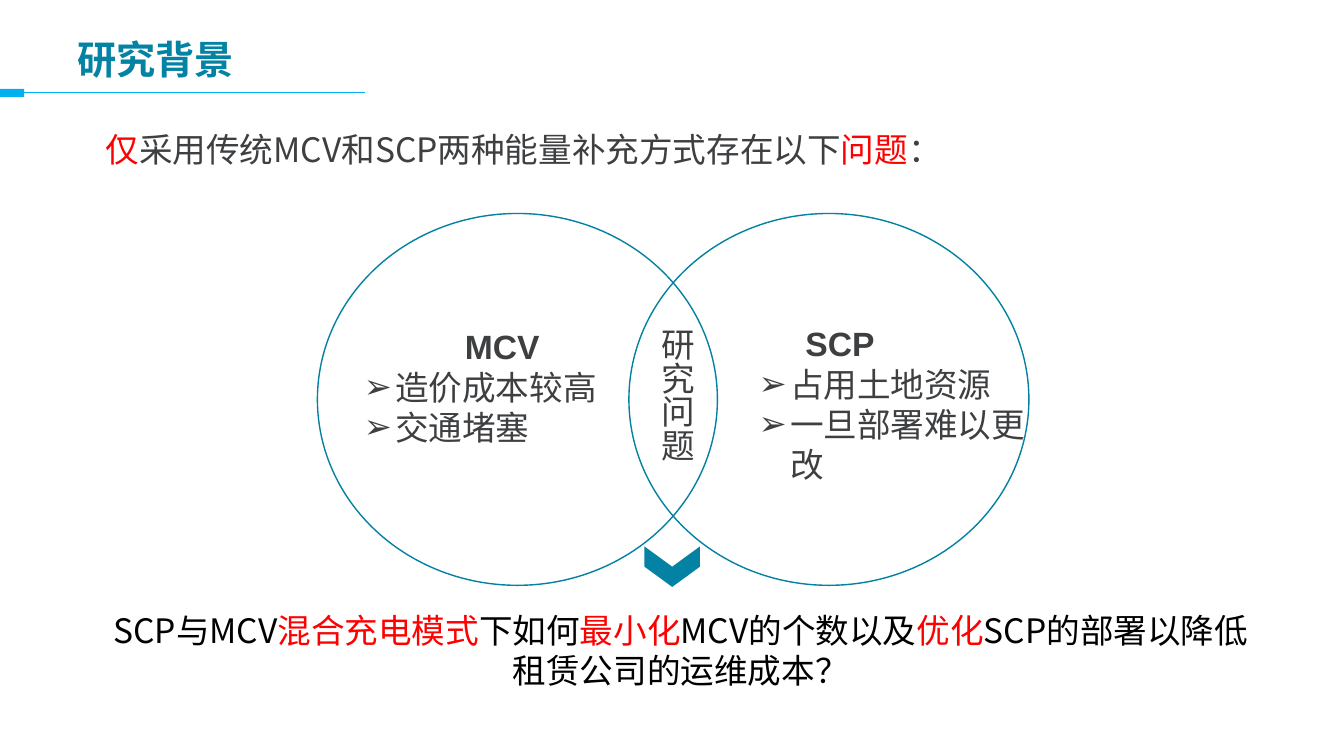
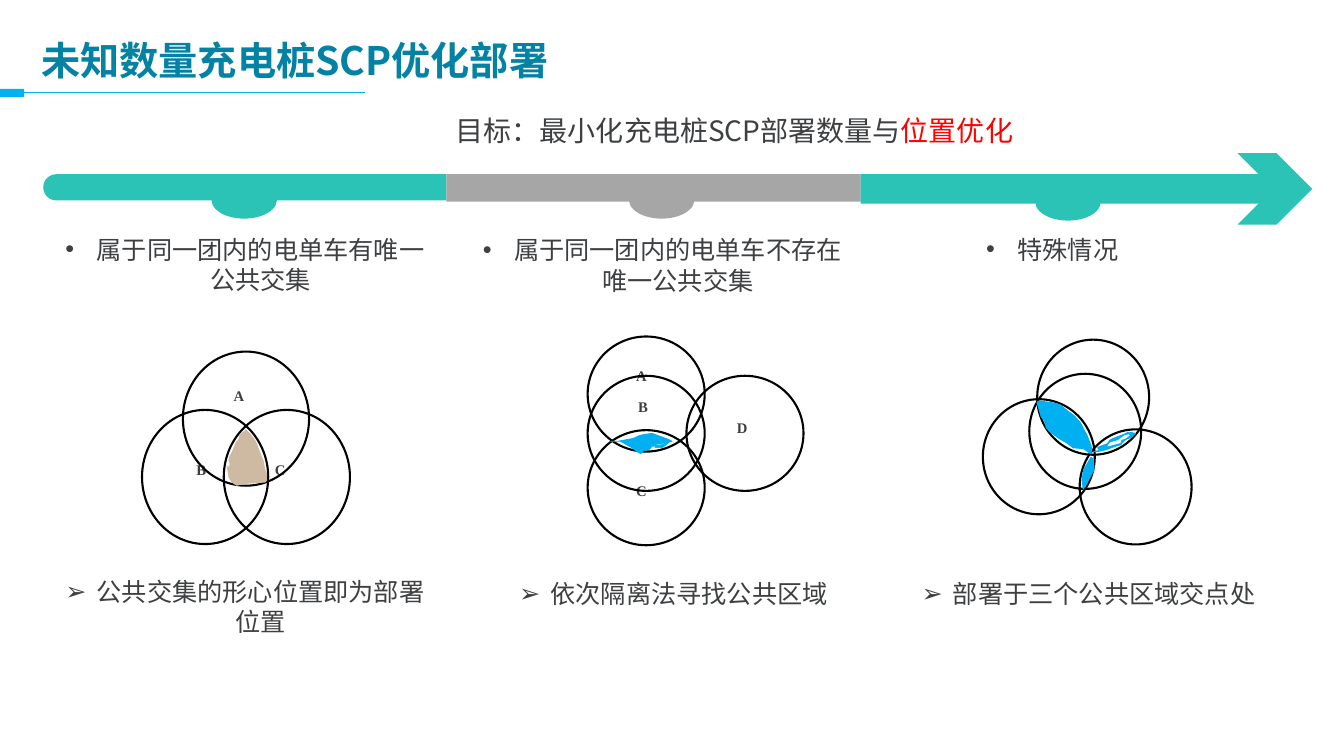
from dataclasses import dataclass

from lxml.etree import SubElement
from pptx import Presentation
from pptx.dml.color import RGBColor
from pptx.enum.shapes import MSO_CONNECTOR, MSO_SHAPE
from pptx.enum.text import MSO_ANCHOR, MSO_AUTO_SIZE, PP_ALIGN
from pptx.oxml.ns import qn
from pptx.util import Cm, Pt


@dataclass(frozen=True)
class Theme:
    """Colours, fonts and type sizes of the deck."""

    teal: str = "0382A3"
    ring: str = "0381A1"
    sky: str = "00B0F0"
    mint: str = "2BC3B5"
    gray: str = "A6A6A6"
    sand: str = "CEB9A3"
    ink: str = "3D3F41"
    red: str = "FF0000"
    black: str = "000000"
    white: str = "FFFFFF"
    sans: str = "Noto Sans CJK SC"
    latin: str = "Arial"
    serif: str = "Times New Roman"
    head: float = 28
    body: float = 24
    goal: float = 20
    note: float = 18
    tag: float = 10.5


T = Theme()


@dataclass(frozen=True)
class Para:
    """A paragraph: (text, colour) runs and their format."""

    runs: tuple
    size: float = T.body
    align: PP_ALIGN = PP_ALIGN.LEFT
    mark: str = ""
    left: float = 0
    bold: bool = False
    face: str = T.sans


LENS = (
    (48, 5), (33, 15), (30, 28), (23, 36), (13, 61), (8, 69), (5, 81), (8, 91),
    (5, 99), (0, 94), (5, 124), (13, 137), (25, 145), (41, 142), (53, 140),
    (97, 137), (102, 132), (102, 114), (97, 102), (94, 84), (86, 64), (74, 33),
    (61, 15), (46, 0))
FISH = (
    (18, 20), (56, 13), (74, 5), (84, 3), (104, 0), (145, 15), (155, 20),
    (142, 23), (114, 28), (112, 36), (130, 36), (147, 23), (132, 28), (122, 30),
    (104, 33), (97, 41), (84, 43), (76, 51), (69, 48), (53, 36), (25, 20), (0, 20))
SLIP = (
    (23, 0), (8, 25), (3, 36), (0, 60), (3, 84), (10, 76), (23, 51), (28, 41),
    (33, 33), (30, 5))
LEAF = (
    (5, 0), (41, 5), (58, 10), (76, 25), (94, 38), (109, 56), (119, 76),
    (124, 84), (135, 112), (137, 122), (135, 132), (117, 119), (91, 117),
    (74, 104), (56, 94), (38, 81), (30, 74), (23, 66), (18, 48), (10, 38),
    (5, 20), (0, 3))
REED = (
    (8, 38), (20, 33), (30, 30), (38, 23), (56, 18), (74, 5), (84, 0), (94, 10),
    (76, 18), (69, 20), (66, 30), (46, 36), (28, 43), (0, 48), (15, 46),
    (25, 43), (38, 20), (48, 15), (66, 8), (74, 5), (84, 3), (91, 0), (102, 3),
    (91, 8), (74, 20), (66, 28), (48, 33), (30, 38), (20, 43), (13, 46))


def apply(item, vals):
    """Set each attribute named in vals."""
    for key, val in vals.items():
        setattr(item, key, val)


def hue(code):
    """Turn a hex code into a colour."""
    return RGBColor.from_string(code)


def paint(shape, fill=None, line=None, width=1.0):
    """Give a shape its fill and line, without shadow."""
    shape.shadow.inherit = False
    if fill:
        shape.fill.solid()
        shape.fill.fore_color.rgb = hue(fill)
    else:
        shape.fill.background()
    if line:
        shape.line.color.rgb = hue(line)
        shape.line.width = Pt(width)
    else:
        shape.line.fill.background()
    return shape


def draw(slide, kind, box, **look):
    """Add a painted preset shape in a box given in cm."""
    return paint(slide.shapes.add_shape(kind, *map(Cm, box)), **look)


def write(shape, paras, anchor=MSO_ANCHOR.TOP):
    """Write paragraphs into a shape."""
    frame = shape.text_frame
    apply(frame, {"word_wrap": True, "auto_size": MSO_AUTO_SIZE.NONE,
                  "vertical_anchor": anchor})
    for num, para in enumerate(paras):
        line = frame.add_paragraph() if num else frame.paragraphs[0]
        line.alignment = para.align
        props = line._p.get_or_add_pPr()
        if para.left:
            props.set("marL", str(Cm(para.left)))
        if para.mark:
            props.set("indent", str(-Cm(para.left)))
            SubElement(props, qn("a:buFont"), typeface=T.latin)
            SubElement(props, qn("a:buChar"), char=para.mark)
        for text, code in para.runs:
            run = line.add_run()
            run.text = text
            apply(run.font, {"name": para.face, "size": Pt(para.size),
                             "bold": para.bold})
            run.font.color.rgb = hue(code)
            SubElement(run._r.get_or_add_rPr(), qn("a:ea"), typeface=T.sans)
    return shape


def prose(slide, box, *paras):
    """Add a text box."""
    return write(slide.shapes.add_textbox(*map(Cm, box)), paras)


def point(text, mark, size=T.note, align=PP_ALIGN.CENTER):
    """Make a paragraph with a bullet."""
    return Para(((text, T.ink),), size, align, mark, 0.79)


def start(deck, text, box):
    """Add a slide with its title, band and rule."""
    slide = deck.slides.add_slide(deck.slide_layouts[5])
    band = draw(slide, MSO_SHAPE.RECTANGLE, (0, 2.24, 0.61, 0.2), fill=T.sky)
    rule = slide.shapes.add_connector(
        MSO_CONNECTOR.STRAIGHT, Cm(9.19), Cm(2.34), Cm(0.61), Cm(2.34))
    rule.end_connect(band, 3)
    rule.line.color.rgb = hue(T.sky)
    rule.line.width = Pt(0.75)
    SubElement(rule._element.spPr, qn("a:effectLst"))
    title = slide.shapes.title
    apply(title, dict(zip(("left", "top", "width", "height"), map(Cm, box))))
    write(title, [Para(((text, T.teal),), T.head, bold=True)], MSO_ANCHOR.MIDDLE)
    return slide


def duel(slide, x, y):
    """Draw the two crossing rings with their lists."""
    for left in (0, 7.85):
        draw(slide, MSO_SHAPE.OVAL, (x + left, y, 10.08, 9.37), line=T.ring)
    sides = (
        ((0.92, 2.72, 7.47, 3.33), "MCV", PP_ALIGN.CENTER, 0,
         ("造价成本较高", "交通堵塞")),
        ((10.87, 2.64, 7.47, 4.37), "SCP", PP_ALIGN.LEFT, 1.18,
         ("占用土地资源", "一旦部署难以更改")))
    for (left, top, wide, high), name, align, pad, items in sides:
        prose(slide, (x + left, y + top, wide, high),
              Para(((name, T.ink),), align=align, left=pad, bold=True, face=T.latin),
              *(point(item, "➢", T.body, PP_ALIGN.LEFT) for item in items))
    core = prose(slide, (x + 8.15, y + 2.64, 1.55, 4.7),
                 Para((("研究问题", T.ink),), face=T.latin))
    core.text_frame._txBody.bodyPr.set("vert", "eaVert")
    arrow = draw(slide, MSO_SHAPE.CHEVRON, (x + 8.43, y + 8.2, 1.02, 1.4), fill=T.teal)
    arrow.rotation = 90


def track(slide, x, y):
    """Draw the three-part arrow with its knobs."""
    draw(slide, MSO_SHAPE.CHEVRON, (x + 30.1, y - 0.53, 1.88, 1.8), fill=T.mint)
    wide, high = 10.16, 0.66
    cap = draw(slide, MSO_SHAPE.ROUND_2_SAME_RECTANGLE,
               (x + (wide - high) / 2, y - (wide - high) / 2, high, wide), fill=T.mint)
    cap.adjustments[0] = 0.5
    cap.rotation = 270
    for left, high, code in ((10.16, 0.69, T.gray), (20.6, 0.74, T.mint)):
        draw(slide, MSO_SHAPE.RECTANGLE, (x + left, y, 10.44, high), fill=code)
    for left, top, code in ((4.24, 0.18, T.mint), (14.76, 0.18, T.gray),
                            (25, 0.23, T.mint)):
        draw(slide, MSO_SHAPE.OVAL, (x + left, y + top, 1.65, 0.94), fill=code)


def blob(slide, x, y, dots, **look):
    """Draw an outline from dots in hundredths of a cm."""
    pen = slide.shapes.build_freeform(*dots[0], scale=Cm(0.01))
    pen.add_line_segments(dots[1:])
    paint(pen.convert_to_shape(Cm(x), Cm(y)), **look)


def venn(slide, x, y, size, rings, tags, tile, blobs):
    """Draw rings, letters and shared areas from a corner."""
    for name, left, top in tags:
        card = draw(slide, MSO_SHAPE.RECTANGLE, (x + left, y + top, *tile), fill=T.white)
        write(card, [Para(((name, T.ink),), T.tag, bold=True, face=T.serif)])
    for left, top in rings:
        draw(slide, MSO_SHAPE.OVAL, (x + left, y + top, *size), line=T.black, width=1.5)
    for left, top, dots, look in blobs:
        blob(slide, x + left, y + top, dots, **look)


def issue(deck):
    """Build the background slide."""
    slide = start(deck, "研究背景", (1.7, 0.69, 30.48, 1.6))
    prose(slide, (2.41, 3.12, 25.65, 1.27), Para((
        ("仅", T.red), ("采用传统MCV和SCP两种能量补充方式存在以下", T.ink),
        ("问题", T.red), ("：", T.ink))))
    duel(slide, 8, 5.38)
    prose(slide, (2.41, 15.24, 29.49, 2.31), Para((
        ("SCP与MCV", T.black), ("混合充电模式", T.red), ("下如何", T.black),
        ("最小化", T.red), ("MCV的个数以及", T.black), ("优化", T.red),
        ("SCP的部署以降低租赁公司的运维成本？", T.black)), align=PP_ALIGN.CENTER))


def plan(deck):
    """Build the deployment slide."""
    slide = start(deck, "未知数量充电桩SCP优化部署", (0.79, 0.79, 30.48, 1.45))
    prose(slide, (10.46, 2.74, 16.1, 1.12), Para((
        ("目标：最小化充电桩SCP部署数量与", T.ink), ("位置优化", T.red)),
        T.goal, PP_ALIGN.CENTER))
    track(slide, 1.09, 4.39)
    notes = (
        (1.09, 5.77, "•", "属于同一团内的电单车有唯一公共交集"),
        (11.61, 5.79, "•", "属于同一团内的电单车不存在唯一公共交集"),
        (21.44, 5.77, "•", "特殊情况"),
        (1.09, 14.4, "➢", "公共交集的形心位置即为部署位置"),
        (11.89, 14.45, "➢", "依次隔离法寻找公共区域"),
        (22.35, 14.45, "➢", "部署于三个公共区域交点处"))
    for x, y, mark, text in notes:
        prose(slide, (x, y, 10.16, 1.8), point(text, mark))
    edge = {"fill": T.sky, "line": T.sky}
    venn(slide, 3.58, 8.86, (3.18, 3.38),
         ((0, 1.47), (2.06, 1.47), (1.03, 0)),
         (("C", 3.1, 2.64), ("A", 2.06, 0.76), ("B", 1.12, 2.64)), (0.89, 1.12),
         ((2.13, 1.93, LENS, {"fill": T.sand}),))
    venn(slide, 14.81, 8.48, (2.95, 2.9),
         ((0, 0.99), (0, 0), (0, 2.36), (2.49, 0.99)),
         (("D", 3.51, 1.96), ("C", 0.97, 3.53), ("B", 1.02, 1.42),
          ("A", 0.97, 0.64)), (0.84, 0.97),
         ((0.58, 2.44, FISH, {**edge, "width": 0.5}),))
    venn(slide, 24.77, 8.56, (2.82, 2.9),
         ((1.37, 0), (0, 1.5), (1.17, 0.86), (2.44, 2.26)), (), (),
         ((2.49, 2.95, SLIP, {"fill": T.sky}), (1.37, 1.55, LEAF, edge),
          (2.82, 2.34, REED, edge)))


def main():
    """Build and save the deck."""
    deck = Presentation()
    apply(deck, {"slide_width": Cm(33.87), "slide_height": Cm(19.05)})
    issue(deck)
    plan(deck)
    deck.save("out.pptx")


if __name__ == "__main__":
    main()
